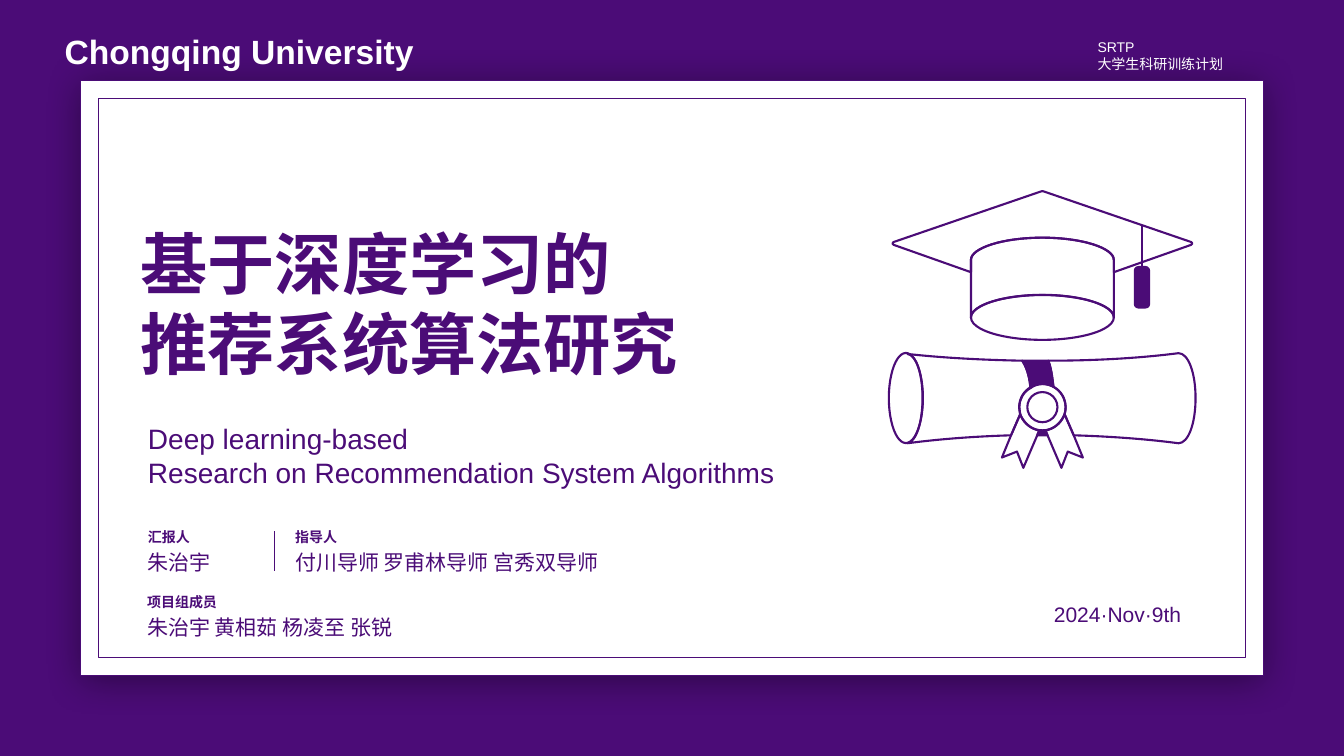
from dataclasses import dataclass

from lxml import etree
from pptx import Presentation
from pptx import util as u
from pptx.dml.color import RGBColor
from pptx.enum import shapes, text
from pptx.oxml.ns import qn


@dataclass(frozen=True)
class Theme:
    purple: RGBColor = RGBColor(0x4B, 0x0C, 0x77)
    white: RGBColor = RGBColor(0xFF, 0xFF, 0xFF)
    font: str = "Arial"
    title_font: str = "Lato"
    title: int = 48
    school: int = 24
    subtitle: int = 20
    body: int = 15
    label: int = 10
    frame: float = 1
    rule: float = 0.5
    drawing: float = 1.5


def write(tf, lines, size, color, font, bold=False, inset=0, wrap=False, grow=True):
    tf.margin_left = tf.margin_right = u.Cm(inset)
    tf.margin_top = tf.margin_bottom = u.Cm(inset / 2)
    tf.word_wrap = wrap
    tf.auto_size = text.MSO_AUTO_SIZE.SHAPE_TO_FIT_TEXT if grow else text.MSO_AUTO_SIZE.NONE
    tf.vertical_anchor = text.MSO_ANCHOR.TOP
    for i, line in enumerate(lines):
        p = tf.paragraphs[0] if i == 0 else tf.add_paragraph()
        p.alignment = text.PP_ALIGN.LEFT
        r = p.add_run()
        r.text = line
        r.font.name, r.font.size, r.font.bold = font, u.Pt(size), bold
        r.font.color.rgb = color


class Cover:
    def __init__(self, prs, theme):
        self.theme = theme
        self.s = prs.slides.add_slide(prs.slide_layouts[5])
        self.s.background.fill.solid()
        self.s.background.fill.fore_color.rgb = theme.purple

    def style(self, sp, fill, width):
        sp.shadow.inherit = False
        if fill is None:
            sp.fill.background()
        else:
            sp.fill.solid()
            sp.fill.fore_color.rgb = fill
        sp.line.color.rgb = self.theme.purple
        sp.line.width = u.Pt(width)
        return sp

    def shape(self, kind, x, y, w, h, fill=None, width=None):
        sp = self.s.shapes.add_shape(kind, u.Cm(x), u.Cm(y), u.Cm(w), u.Cm(h))
        return self.style(sp, fill, width or self.theme.drawing)

    def panel(self, x, y, w, h):
        sp = self.shape(shapes.MSO_SHAPE.RECTANGLE, x, y, w, h, self.theme.white, self.theme.frame)
        effects = sp.element.spPr.find(qn("a:effectLst"))
        shadow = etree.SubElement(effects, qn("a:outerShdw"), blurRad=str(u.Pt(27)),
                                  dist=str(u.Pt(3)), dir="5400000", algn="t", rotWithShape="0")
        black = etree.SubElement(shadow, qn("a:srgbClr"), val="000000")
        etree.SubElement(black, qn("a:alpha"), val="40000")

    def text(self, x, y, w, h, *lines, size, color=None, **fmt):
        sp = self.s.shapes.add_textbox(u.Cm(x), u.Cm(y), u.Cm(w), u.Cm(h))
        write(sp.text_frame, lines, size, color or self.theme.purple, self.theme.font, **fmt)

    def title(self, x, y, w, h, *lines):
        sp = self.s.shapes.title
        sp.element.getparent().append(sp.element)
        sp.left, sp.top, sp.width, sp.height = map(u.Cm, (x, y, w, h))
        write(sp.text_frame, lines, self.theme.title, self.theme.purple, self.theme.title_font,
              bold=True, inset=0.25, wrap=True)

    def entry(self, x, y, label, label_w, names, names_w):
        self.text(x, y, label_w, 0.43, label, size=self.theme.label, bold=True)
        self.text(x, y + 0.53, names_w, 0.64, names, size=self.theme.body)

    def line(self, x, top, bottom, width):
        c = self.s.shapes.add_connector(shapes.MSO_CONNECTOR.STRAIGHT,
                                        u.Cm(x), u.Cm(top), u.Cm(x), u.Cm(bottom))
        c.line.color.rgb = self.theme.purple
        c.line.width = u.Pt(width)
        etree.SubElement(c.element.spPr, qn("a:effectLst"))

    def outline(self, axis, *outlines, fill=None):
        fb = None
        for outline in outlines:
            corners = [(u.Cm(axis + part[-2]), u.Cm(part[-1])) for part in outline]
            if fb is None:
                fb = self.s.shapes.build_freeform(*corners[0])
            else:
                fb.move_to(*corners[0])
            fb.add_line_segments(corners[1:], close=True)
        sp = self.style(fb.convert_to_shape(), fill, self.theme.drawing)
        parts = [part for outline in outlines for part in outline[1:]]
        for segment, part in zip(list(sp.element.iter(qn("a:lnTo"))), parts):
            if len(part) == 6:
                self.bend(sp, segment, axis, part)

    def bend(self, sp, segment, axis, part):
        curve = etree.Element(qn("a:cubicBezTo"))
        for x, y in zip(part[::2], part[1::2]):
            etree.SubElement(curve, qn("a:pt"), x=str(u.Cm(axis + x) - sp.left),
                             y=str(u.Cm(y) - sp.top))
        segment.getparent().replace(segment, curve)

    def disc(self, axis, middle, w, h):
        self.shape(shapes.MSO_SHAPE.OVAL, axis - w / 2, middle - h / 2, w, h)


def draw_cap(cover, axis):
    crown = [(1.8, 6.25, 1, 5.99, 0, 5.99), (-1, 5.99, -1.8, 6.25, -1.8, 6.55)]
    cover.outline(axis, [
        (3.75, 6.17), (1.8, 6.86), (1.8, 6.55), *crown, (-1.8, 6.86), (-3.75, 6.17),
        (-3.79, 6.15, -3.79, 6.12, -3.75, 6.1), (-0.05, 4.83),
        (-0.02, 4.81, 0.02, 4.81, 0.05, 4.83), (3.75, 6.1), (3.79, 6.12, 3.79, 6.15, 3.75, 6.17)])
    cover.disc(axis, 8, 3.6, 1.13)
    cover.outline(axis, [
        (-1.8, 6.55), (-1.8, 8), (-1.8, 7.7, -1, 7.43, 0, 7.43),
        (1, 7.43, 1.8, 7.7, 1.8, 8), (1.8, 6.55), *crown])
    cover.line(axis + 2.51, 5.66, 6.73, cover.theme.drawing)
    tassel = cover.shape(shapes.MSO_SHAPE.ROUNDED_RECTANGLE, axis + 2.33, 6.73, 0.36, 1.02,
                         cover.theme.purple)
    tassel.adjustments[0] = 0.256


def draw_diploma(cover, axis):
    ribbon_left = (-0.43, 9.2, -0.33, 9.42, -0.3, 9.78)
    ribbon_right = (0.25, 9.53, 0.23, 9.3, 0.15, 9.09)
    cover.disc(axis - 3.44, 10.03, 0.86, 2.27)
    cover.outline(
        axis,
        [(0.15, 9.09), (-0.51, 9.09), ribbon_left, (-0.13, 9.65, 0.1, 9.65, 0.28, 9.75), ribbon_right],
        [(0.08, 10.85), (-0.08, 10.85), (-0.13, 10.97), (0.13, 10.97)], fill=cover.theme.purple)
    cover.outline(axis, [
        (3.86, 10.03), (3.86, 10.67, 3.68, 11.17, 3.43, 11.17), (2.67, 11.07, 1.78, 11, 0.79, 10.97),
        (0.56, 10.44), (0.64, 10.19, 0.53, 9.88, 0.28, 9.75), ribbon_right,
        (1.37, 9.09, 2.51, 9.02, 3.43, 8.9), (3.68, 8.9, 3.86, 9.4, 3.86, 10.03)])
    cover.outline(axis, [
        (-0.58, 10.26), (-0.58, 10.31, -0.56, 10.39, -0.56, 10.44), (-0.79, 10.97),
        (-1.78, 11, -2.64, 11.07, -3.4, 11.17), (-3.18, 11.13, -3.02, 10.64, -3.02, 10.03),
        (-3.02, 9.42, -3.18, 8.94, -3.4, 8.92), (-2.5, 9.02, -1.5, 9.07, -0.51, 9.09),
        ribbon_left, (-0.48, 9.88, -0.58, 10.06, -0.58, 10.26)])
    for side in (-1, 1):
        cover.outline(axis, [
            (side * 1.02, 11.53), (side * 0.64, 11.38), (side * 0.48, 11.79), (side * 0.13, 10.97),
            (side * 0.08, 10.85), (side * 0.33, 10.8, side * 0.48, 10.62, side * 0.56, 10.44),
            (side * 0.79, 10.97)])
    for size in (1.17, 0.76):
        cover.disc(axis, 10.26, size, size)


def main():
    prs = Presentation()
    prs.slide_width, prs.slide_height = u.Cm(33.87), u.Cm(19.05)
    theme = Theme()
    cover = Cover(prs, theme)

    cover.panel(2.03, 2.03, 29.81, 14.99)
    cover.shape(shapes.MSO_SHAPE.RECTANGLE, 2.48, 2.48, 28.91, 14.09, width=theme.frame)
    cover.text(1.38, 0.65, 10, 1.28, "Chongqing University", size=theme.school, color=theme.white,
               bold=True, inset=0.25, wrap=True)
    cover.text(27.66, 0.97, 3.45, 0.86, "SRTP", "大学生科研训练计划", size=theme.label,
               color=theme.white, grow=False)

    cover.title(3.29, 5.47, 17.22, 4.37, "基于深度学习的", "推荐系统算法研究")
    cover.text(3.73, 10.62, 15.9, 1.7, "Deep learning-based",
               "Research on Recommendation System Algorithms", size=theme.subtitle)
    cover.entry(3.73, 13.32, "汇报人", 1.24, "朱治宇", 1.6)
    cover.entry(7.44, 13.32, "指导人", 1.24, "付川导师 罗甫林导师 宫秀双导师", 8.03)
    cover.entry(3.71, 14.95, "项目组成员", 1.78, "朱治宇 黄相茹 杨凌至 张锐", 6.68)
    cover.line(6.91, 13.39, 14.38, theme.rule)
    cover.text(26.56, 15.16, 3.25, 0.64, "2024·Nov·9th", size=theme.body)

    draw_cap(cover, 26.27)
    draw_diploma(cover, 26.27)
    prs.save("out.pptx")


if __name__ == "__main__":
    main()
